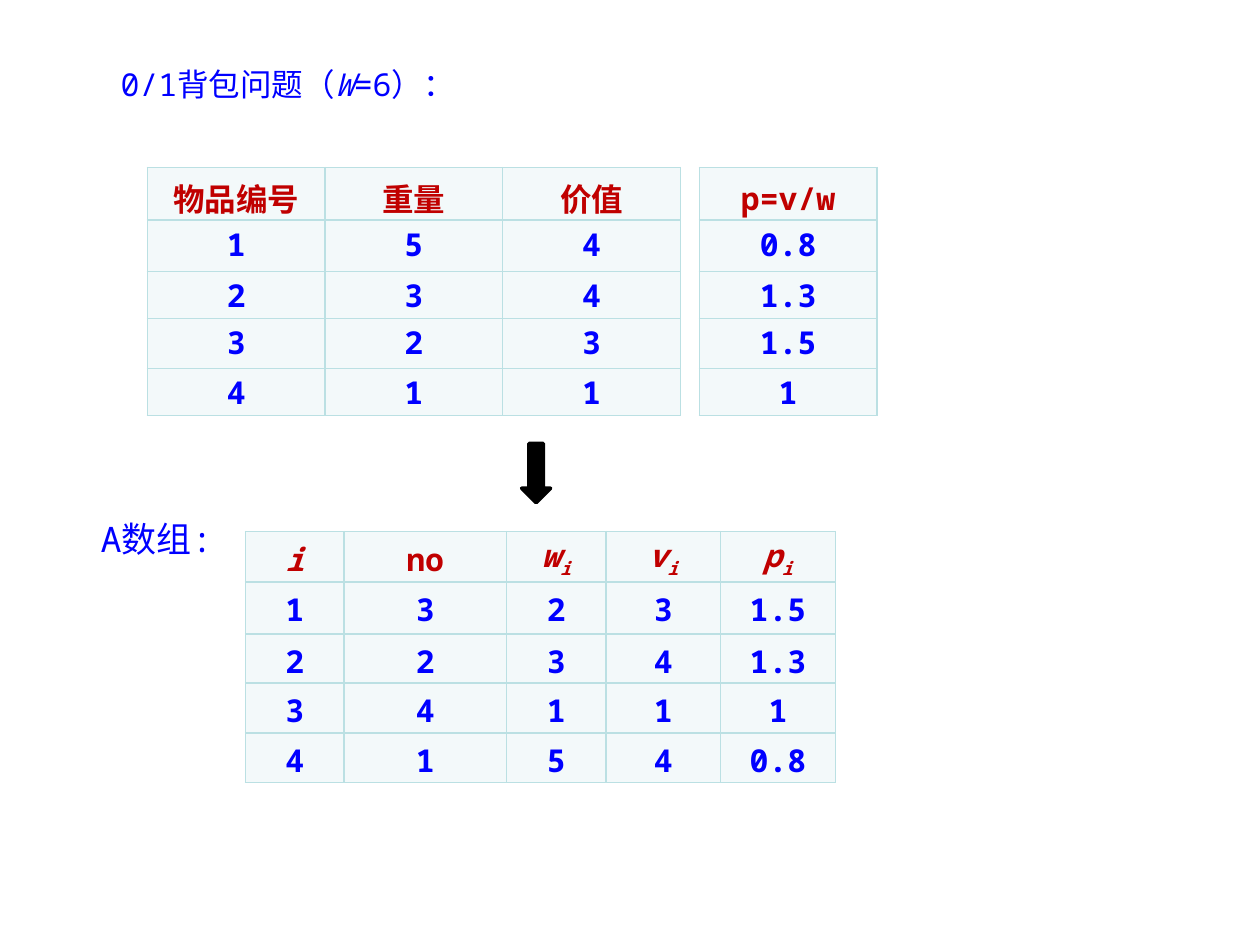
from lxml.etree import SubElement
from pptx import Presentation
from pptx.dml.color import RGBColor
from pptx.enum.shapes import MSO_SHAPE as Shape
from pptx.enum.text import MSO_ANCHOR as Anchor, PP_ALIGN as Align
from pptx.oxml.ns import qn
from pptx.util import Inches, Pt

COLORS = {"header": "C00000", "text": "0000FF", "cell": "F3F9FA",
          "border": "BBE0E3", "arrow": "000000"}
FONT = "Noto Sans Mono"

presentation = Presentation()
presentation.slide_width = Inches(10)
presentation.slide_height = Inches(7.5)
slide = presentation.slides.add_slide(presentation.slide_layouts[6])

# Grid of 100 columns by 75 rows with square units
UNIT = presentation.slide_width / 100
ROW_HEIGHTS = [4, 4.1, 3.7, 4, 3.7]


def grid(*values):
    return [round(value * UNIT) for value in values]


def add_run(paragraph, text, size, color, bold=False, italic=False, subscript=False):
    run = paragraph.add_run()
    run.text = text
    font = run.font
    font.name, font.size, font.bold, font.italic = FONT, Pt(size), bold, italic
    font.color.rgb = RGBColor.from_string(COLORS[color])
    if subscript:
        run._r.get_or_add_rPr().set("baseline", "-25000")


# Tables: left, top, column widths, header and body line spacing, rows
# A header is a list of (text, italic, subscript) runs
items_header = [[(name, False, False)] for name in ("物品编号", "重量", "价值")]
array_header = [[("i", True, False)], [("no", False, False)]]
array_header += [[(name, True, False), ("i", True, True)] for name in "wvp"]
tables = [
    (11.7, 13.3, [14.1] * 3, 30, 26, items_header,
     ["1 5 4", "2 3 4", "3 2 3", "4 1 1"]),
    (55.5, 13.3, [14.1], 30, 26, [[("p=v/w", False, False)]],
     ["0.8", "1.3", "1.5", "1"]),
    (19.5, 42.2, [7.8, 12.9, 7.9, 9.1, 9.1], 28, 28, array_header,
     ["1 3 2 3 1.5", "2 2 3 4 1.3", "3 4 1 1 1", "4 1 5 4 0.8"]),
]
for left, top, widths, header_spacing, body_spacing, header, body in tables:
    rows = [header] + [[[(value, False, False)] for value in line.split()]
                       for line in body]
    frame = slide.shapes.add_table(
        len(rows), len(widths), *grid(left, top, sum(widths), sum(ROW_HEIGHTS)))
    table = frame.table
    for column, width in zip(table.columns, grid(*widths)):
        column.width = width
    for row, height in zip(table.rows, grid(*ROW_HEIGHTS)):
        row.height = height
    for row_index, row in enumerate(rows):
        for column_index, runs in enumerate(row):
            cell = table.cell(row_index, column_index)
            cell.margin_left = cell.margin_right = Inches(0.1)
            cell.margin_top = cell.margin_bottom = 0
            # Cell borders come before the fill
            for side in ("lnL", "lnR", "lnT", "lnB"):
                border = SubElement(cell._tc.get_or_add_tcPr(), qn(f"a:{side}"),
                                    w=str(Pt(1)))
                fill = SubElement(border, qn("a:solidFill"))
                SubElement(fill, qn("a:srgbClr"), val=COLORS["border"])
            cell.fill.solid()
            cell.fill.fore_color.rgb = RGBColor.from_string(COLORS["cell"])
            paragraph = cell.text_frame.paragraphs[0]
            paragraph.alignment = Align.CENTER
            paragraph.line_spacing = Pt(body_spacing if row_index else header_spacing)
            for text, italic, subscript in runs:
                add_run(paragraph, text, 18, "text" if row_index else "header",
                        True, italic, subscript)

# Title and array label
labels = [
    ((8.6, 4.7, 38.3, 4), 18, [("0/1背包问题（", False), ("W", True), ("=6）：", False)]),
    ((7, 40.6, 12, 4.4), 20, [("A数组:", False)]),
]
for place, size, runs in labels:
    text_frame = slide.shapes.add_textbox(*grid(*place)).text_frame
    text_frame.word_wrap = True
    text_frame.vertical_anchor = Anchor.TOP
    for text, italic in runs:
        add_run(text_frame.paragraphs[0], text, size, "text", italic=italic)

# Arrow from the items to the sorted array
arrow = slide.shapes.add_shape(Shape.DOWN_ARROW, *grid(41.4, 35.2, 2.3, 4.7))
arrow.shadow.inherit = False
arrow.fill.solid()
arrow.fill.fore_color.rgb = RGBColor.from_string(COLORS["arrow"])
arrow.line.color.rgb = RGBColor.from_string(COLORS["arrow"])
arrow.line.width = Pt(2)

presentation.save("out.pptx")
